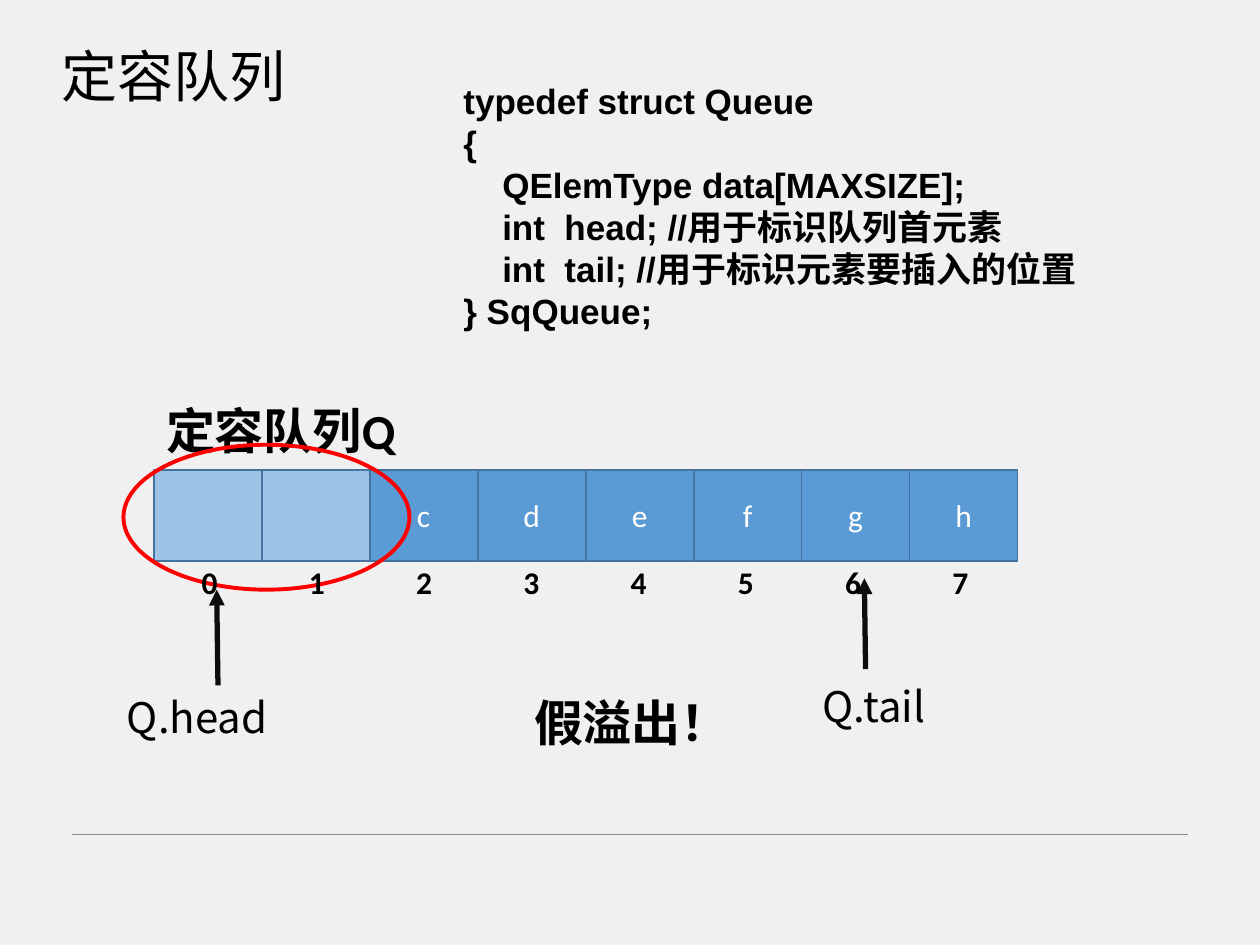
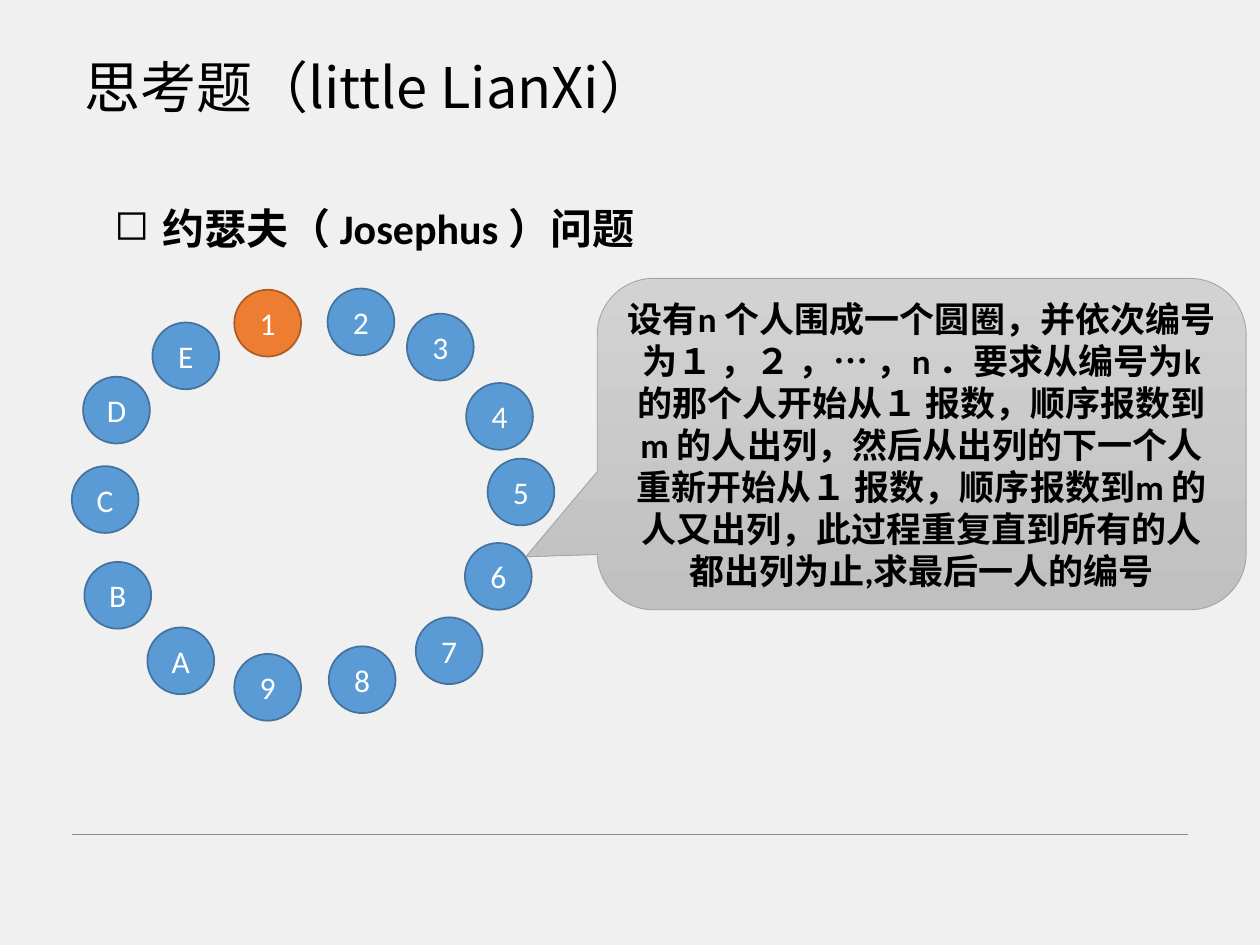
from lxml.etree import SubElement
from pptx import Presentation
from pptx.dml.color import RGBColor
from pptx.enum.shapes import MSO_CONNECTOR as Connector, MSO_SHAPE as Shape
from pptx.enum.text import MSO_ANCHOR as Anchor, MSO_AUTO_SIZE as AutoSize, PP_ALIGN as Align
from pptx.oxml.ns import qn
from pptx.util import Inches, Pt

# Shared look
WIDTH, HEIGHT = 10, 7.5
CJK, LATIN, CODE_FONT = "Noto Sans CJK SC", "Calibri", "Arial"
BACKGROUND, BLACK, WHITE = "F0F0F0", "000000", "FFFFFF"
BLUE, PALE_BLUE, BLUE_EDGE = "5B9BD5", "9DC3E6", "43739E"
ORANGE, ORANGE_EDGE, RED = "ED7D31", "AF5C24", "FF0000"
RULE_GREY, ARROW = "8A8A8A", "0D0D0D"
CALLOUT_TOP, CALLOUT_BOTTOM, CALLOUT_EDGE = "D2D2D2", "C0C0C0", "A5A5A5"

# Slide 1: queue with fixed capacity
CODE = """typedef struct Queue
{
    QElemType data[MAXSIZE];
    int  head; //用于标识队列首元素
    int  tail; //用于标识元素要插入的位置
} SqQueue;"""
QUEUE = ["", "", "c", "d", "e", "f", "g", "h"]
QUEUE_LEFT, QUEUE_TOP, CELL_W, CELL_H = 1.22, 3.73, 0.857, 0.72
INDEX_LEFT, INDEX_TOP, INDEX_STEP = 1.5, 4.42, 0.851
# label, label box, arrow start, arrow end
POINTERS = [
    ("Q.head", (0.91, 5.44, 1.63, 0.5), (1.73, 5.44), (1.72, 4.68)),
    ("Q.tail", (6.43, 5.35, 1.4, 0.5), (6.87, 5.31), (6.86, 4.59)),
]

# Slide 2: Josephus problem
PROBLEM = (
    "设有n 个人围成一个圆圈，并依次编号为１ ，２ ，⋯ ，n ．"
    "要求从编号为k 的那个人开始从１ 报数，顺序报数到m 的人出列，"
    "然后从出列的下一个人重新开始从１ 报数，顺序报数到m 的人又出列，"
    "此过程重复直到所有的人都出列为止,求最后一人的编号"
)
PERSON_SIZE = 0.53
PEOPLE = {
    "1": (1.86, 2.30), "2": (2.60, 2.29), "3": (3.23, 2.49), "4": (3.70, 3.04),
    "5": (3.87, 3.64), "6": (3.69, 4.31), "7": (3.30, 4.90), "8": (2.61, 5.13),
    "9": (1.86, 5.19), "A": (1.17, 4.98), "B": (0.67, 4.46), "C": (0.57, 3.70),
    "D": (0.66, 2.99), "E": (1.21, 2.56),
}


def rgb(value):
    return RGBColor.from_string(value)


def inches(*lengths):
    return [Inches(n) for n in lengths]


def write(tf, text, size, font=LATIN, color=BLACK, bold=False, align=Align.LEFT):
    """Fill a text frame, one paragraph per line, in one style."""
    tf.word_wrap = True
    tf.text = text
    for p in tf.paragraphs:
        p.alignment = align
        for r in p.runs:
            r.font.size, r.font.bold = Pt(size), bold
            r.font.color.rgb = rgb(color)
            r.font.name = font
            SubElement(r.font._element, qn("a:ea")).set("typeface", CJK)


def add_text(s, text, box, size, **style):
    tf = s.shapes.add_textbox(*inches(*box)).text_frame
    write(tf, text, size, **style)
    tf.auto_size = AutoSize.SHAPE_TO_FIT_TEXT
    return tf


def add_shape(s, kind, box, fill, edge, text="", width=1, size=18, color=WHITE, bold=False):
    sp = s.shapes.add_shape(kind, *inches(*box))
    sp.shadow.inherit = False
    if fill:
        sp.fill.solid()
        sp.fill.fore_color.rgb = rgb(fill)
    else:
        sp.fill.background()
    sp.line.color.rgb = rgb(edge)
    sp.line.width = Pt(width)
    if text:
        write(sp.text_frame, text, size, color=color, bold=bold, align=Align.CENTER)
        sp.text_frame.vertical_anchor = Anchor.MIDDLE
    return sp


def add_line(s, start, end, color, width, arrow=False):
    line = s.shapes.add_connector(Connector.STRAIGHT, *inches(*start, *end))
    line.line.color.rgb = rgb(color)
    line.line.width = Pt(width)
    if arrow:
        SubElement(line.line._get_or_add_ln(), qn("a:tailEnd")).set("type", "triangle")
    SubElement(line._element.spPr, qn("a:effectLst"))


def add_bullet(p, char, indent):
    pPr = p._p.get_or_add_pPr()
    pPr.set("marL", str(Inches(indent)))
    pPr.set("indent", str(-Inches(indent)))
    SubElement(pPr, qn("a:buChar")).set("char", char)


def add_slide(prs, title, title_box):
    """Add a slide with the shared background, title style and footer rule."""
    s = prs.slides.add_slide(prs.slide_layouts[6])
    s.background.fill.solid()
    s.background.fill.fore_color.rgb = rgb(BACKGROUND)
    add_text(s, title, title_box, 32, font=CJK)
    add_line(s, (0.57, 6.62), (WIDTH - 0.57, 6.62), RULE_GREY, 0.5)
    return s


def build_queue(prs):
    s = add_slide(prs, "定容队列", (0.39, 0.28, 2, 0.64))
    add_text(s, CODE, (3.58, 0.58, 6.16, 2.12), 20, font=CODE_FONT, bold=True)
    for label, box, start, end in POINTERS:
        add_text(s, label, box, 24, font=CJK)
        add_line(s, start, end, ARROW, 3, arrow=True)
    for i, item in enumerate(QUEUE):
        cell = (QUEUE_LEFT + i * CELL_W, QUEUE_TOP, CELL_W, CELL_H)
        add_shape(s, Shape.RECTANGLE, cell, BLUE if item else PALE_BLUE, BLUE_EDGE, item)
    add_text(s, "定容队列Q", (QUEUE_LEFT, 3.13, 2.04, 0.57), 28, bold=True)
    add_shape(s, Shape.OVAL, (0.98, 3.53, 2.27, 1.15), None, RED, width=2.25)
    for i in range(len(QUEUE)):
        box = (INDEX_LEFT + i * INDEX_STEP, INDEX_TOP, 0.33, 0.4)
        add_text(s, str(i), box, 18, bold=True, align=Align.CENTER)
    add_text(s, "假溢出！", (4.14, 5.45, 1.78, 0.57), 28, bold=True)


def build_josephus(prs):
    s = add_slide(prs, "思考题（little LianXi）", (0.57, 0.37, 4.8, 0.64))
    tf = add_text(s, "约瑟夫（ Josephus ）问题", (0.81, 1.56, 4.37, 0.5), 24, bold=True)
    add_bullet(tf.paragraphs[0], "◻", 0.38)
    for name, (left, top) in PEOPLE.items():
        fill, edge = (ORANGE, ORANGE_EDGE) if name == "1" else (BLUE, BLUE_EDGE)
        add_shape(s, Shape.OVAL, (left, top, PERSON_SIZE, PERSON_SIZE), fill, edge, name)
    callout = add_shape(s, Shape.ROUNDED_RECTANGULAR_CALLOUT, (4.74, 2.21, 5.15, 2.63),
                        CALLOUT_TOP, CALLOUT_EDGE, PROBLEM, 0.5, 20, BLACK, True)
    for i, value in enumerate((-0.61, 0.34, 0.17)):
        callout.adjustments[i] = value
    callout.fill.gradient()
    callout.fill.gradient_angle = 270
    for stop, color in zip(callout.fill.gradient_stops, (CALLOUT_TOP, CALLOUT_BOTTOM)):
        stop.color.rgb = rgb(color)


def main():
    prs = Presentation()
    prs.slide_width, prs.slide_height = inches(WIDTH, HEIGHT)
    build_queue(prs)
    build_josephus(prs)
    prs.save("out.pptx")


if __name__ == "__main__":
    main()
